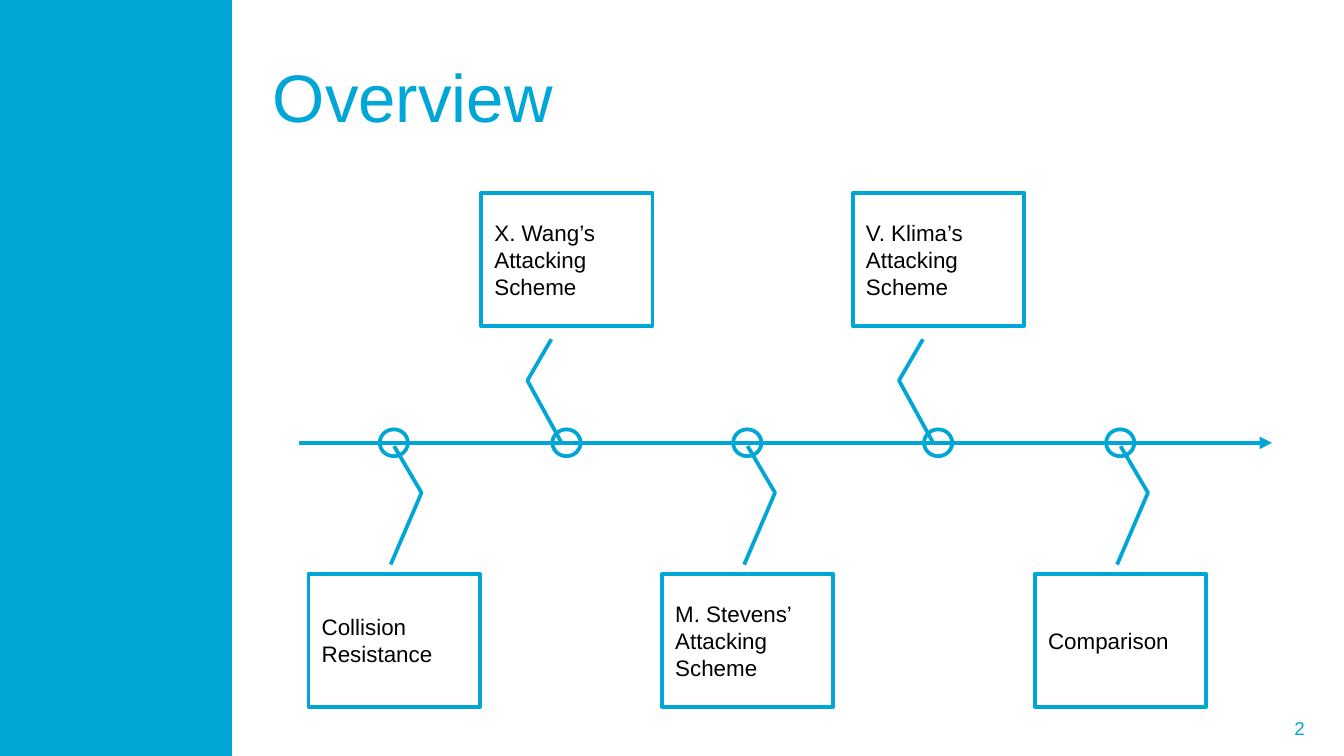
from dataclasses import dataclass

from lxml import etree
from pptx import Presentation
from pptx import util as u
from pptx.dml.color import RGBColor
from pptx.enum import shapes, text
from pptx.oxml.ns import qn

PX = 4572


@dataclass(frozen=True)
class Theme:
    """Colours, font, type sizes and line widths of the deck."""
    accent: RGBColor = RGBColor(0x00, 0xA6, 0xD6)
    ink: RGBColor = RGBColor(0, 0, 0)
    font: str = "Arial"
    title: int = 36
    body: int = 12
    number: int = 10
    axis: float = 2.25
    outline: float = 2


THEME = Theme()
ABOVE = (1.1, 0.41, 1.41, 0.27, 1.88, 0.47)
BELOW = (-0.07, 0.48, -0.61, 0.66, -0.96, 0.5)
STOPS = [
    (120, ["Collision Resistance"], False),
    (377, ["X. Wang’s Attacking Scheme"], True),
    (646, ["M. Stevens’ Attacking", "Scheme"], False),
    (930, ["V. Klima’s Attacking Scheme"], True),
    (1201, ["Comparison"], False),
]


def emu(*lengths):
    """Turn px lengths into EMU."""
    return [u.Emu(n * PX) for n in lengths]


def write(tf, lines, size, color, align=text.PP_ALIGN.LEFT):
    """Fill a text frame with one paragraph per line."""
    tf.word_wrap = True
    tf.auto_size = text.MSO_AUTO_SIZE.NONE
    tf.vertical_anchor = text.MSO_ANCHOR.MIDDLE
    for i, line in enumerate(lines):
        p = tf.add_paragraph() if i else tf.paragraphs[0]
        p.alignment = align
        r = p.add_run()
        r.text = line
        r.font.name = THEME.font
        r.font.size = u.Pt(size)
        r.font.color.rgb = color


def add_outline(s, kind, x, y, w, h):
    """Add an unfilled shape with an accent outline."""
    sp = s.shapes.add_shape(kind, *emu(x, y, w, h))
    sp.shadow.inherit = False
    sp.fill.background()
    sp.line.color.rgb = THEME.accent
    sp.line.width = u.Pt(THEME.outline)
    return sp


def add_panel(s, x, y, w, h):
    """Add the solid side panel."""
    sp = s.shapes.add_shape(shapes.MSO_SHAPE.RECTANGLE, *emu(x, y, w, h))
    sp.shadow.inherit = False
    sp.fill.solid()
    sp.fill.fore_color.rgb = THEME.accent
    sp.line.fill.background()


def add_title(s, x, y, w, h, title):
    """Place and format the title placeholder."""
    sp = s.shapes.title
    sp.left, sp.top, sp.width, sp.height = emu(x, y, w, h)
    write(sp.text_frame, [title], THEME.title, THEME.accent)


def add_number(s, x, y, w, h, number):
    """Add the slide number."""
    tf = s.shapes.add_textbox(*emu(x, y, w, h)).text_frame
    write(tf, [number], THEME.number, THEME.accent, text.PP_ALIGN.RIGHT)


def add_axis(s, x, y, w):
    """Add the timeline arrow."""
    line = s.shapes.add_connector(shapes.MSO_CONNECTOR.STRAIGHT, *emu(x, y, x + w, y))
    line.line.color.rgb = THEME.accent
    line.line.width = u.Pt(THEME.axis)
    sp_pr = line._element.spPr
    etree.SubElement(sp_pr.find(qn("a:ln")), qn("a:tailEnd"), type="triangle")
    etree.SubElement(sp_pr, qn("a:effectLst"))


def add_callout(s, x, y, w, h, lines, leader):
    """Add a callout box whose bent leader reaches its marker."""
    sp = add_outline(s, shapes.MSO_SHAPE.LINE_CALLOUT_2, x, y, w, h)
    for i, value in enumerate(leader):
        sp.adjustments[i] = value
    write(sp.text_frame, lines, THEME.body, THEME.ink)


def add_timeline(s, x, y, w, h):
    """Add the axis with its markers and alternating callouts."""
    box_w, box_h, dot_w, dot_h = 255, 198, 42, 40
    axis_y = y + 372
    add_axis(s, x, axis_y, w)
    for dx, _, _ in STOPS:
        add_outline(s, shapes.MSO_SHAPE.OVAL, x + dx, axis_y - dot_h // 2, dot_w, dot_h)
    for dx, lines, above in STOPS:
        top = y if above else y + h - box_h
        add_callout(s, x + dx - 106, top, box_w, box_h, lines, ABOVE if above else BELOW)


def main():
    """Build and save the slide."""
    prs = Presentation()
    prs.slide_width, prs.slide_height = emu(2000, 1125)
    s = prs.slides.add_slide(prs.slide_layouts[5])
    add_panel(s, 0, 0, 345, 1125)
    add_number(s, 1454, 1054, 507, 60, "2")
    add_title(s, 386, 48, 1554, 188, "Overview")
    add_timeline(s, 445, 287, 1448, 765)
    prs.save("out.pptx")


if __name__ == "__main__":
    main()
